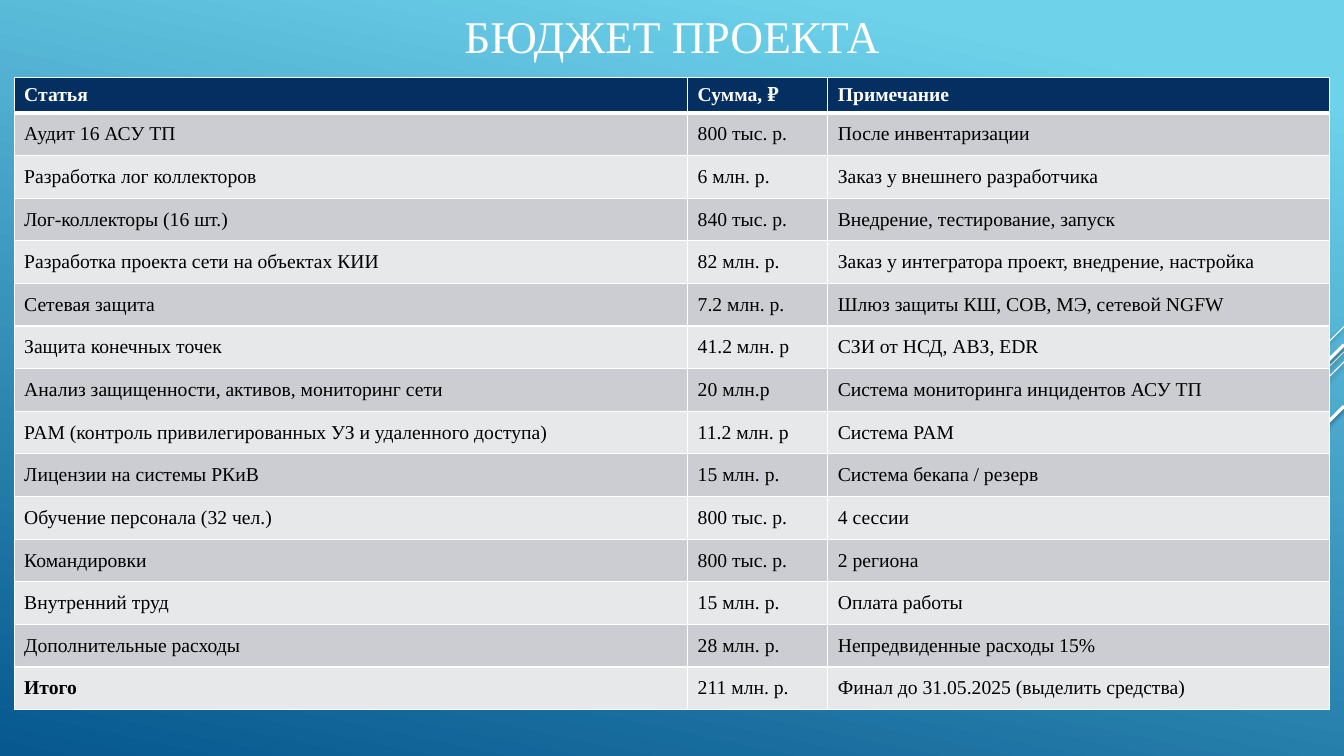
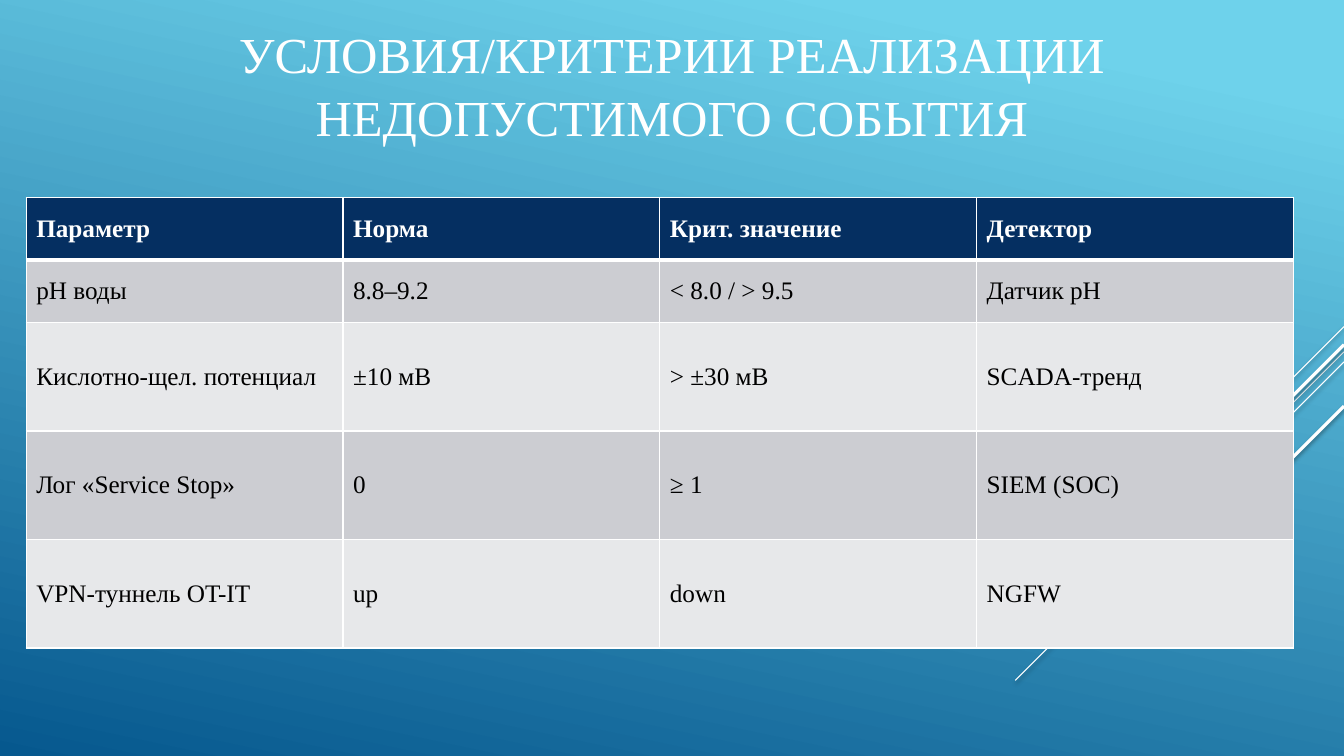
from dataclasses import dataclass

from lxml import etree
from pptx import Presentation
from pptx.dml.color import RGBColor
from pptx.enum.shapes import MSO_CONNECTOR
from pptx.enum.text import MSO_ANCHOR, PP_ALIGN
from pptx.oxml.ns import qn
from pptx.util import Inches, Pt

# Shared look
FONT = "Times New Roman"
WHITE, BLACK, NAVY = "FFFFFF", "000000", "052F61"
BANDS = ("CCCDD2", "E7E8EA")
SKY, DEEP = "6ED2EB", "06588E"
WIDTH, HEIGHT = 13.33, 7.5


@dataclass
class Stripe:
    """Diagonal line falling from the right edge at 45 degrees."""
    top: float
    run: float
    weight: float


@dataclass
class Grid:
    """Table frame; tracks not listed share the remaining length equally."""
    left: float
    top: float
    width: float
    height: float
    lead_cols: tuple[float, ...]
    lead_rows: tuple[float, ...]
    size: float
    rows: list[tuple[str, ...]]
    total_row: bool = False


STRIPES = [
    Stripe(3.24, 1.0, 0.75),
    Stripe(3.49, 3.26, 0.75),
    Stripe(3.59, 2.07, 0.75),
    Stripe(3.42, 1.91, 2.25),
    Stripe(4.03, 1.39, 2.25),
]

BUDGET = Grid(0.14, 0.77, 13.05, 6.27, (6.68, 1.39), (0.35,), 14, [
    ("Статья", "Сумма, ₽", "Примечание"),
    ("Аудит 16 АСУ ТП", "800 тыс. р.", "После инвентаризации"),
    ("Разработка лог коллекторов", "6 млн. р.", "Заказ у внешнего разработчика"),
    ("Лог-коллекторы (16 шт.)", "840 тыс. р.", "Внедрение, тестирование, запуск"),
    ("Разработка проекта сети на объектах КИИ", "82 млн. р.",
     "Заказ у интегратора проект, внедрение, настройка"),
    ("Сетевая защита", "7.2 млн. р.", "Шлюз защиты КШ, СОВ, МЭ, сетевой NGFW"),
    ("Защита конечных точек", "41.2 млн. р", "СЗИ от НСД, АВЗ, EDR"),
    ("Анализ защищенности, активов, мониторинг сети", "20 млн.р",
     "Система мониторинга инцидентов АСУ ТП"),
    ("PAM (контроль привилегированных УЗ и удаленного доступа)", "11.2 млн. р",
     "Система PAM"),
    ("Лицензии на системы РКиВ", "15 млн. р.", "Система бекапа / резерв"),
    ("Обучение персонала (32 чел.)", "800 тыс. р.", "4 сессии"),
    ("Командировки", "800 тыс. р.", "2 региона"),
    ("Внутренний труд", "15 млн. р.", "Оплата работы"),
    ("Дополнительные расходы", "28 млн. р.", "Непредвиденные расходы 15%"),
    ("Итого", "211 млн. р.", "Финал до 31.05.2025 (выделить средства)"),
], total_row=True)

CRITERIA = Grid(0.26, 1.96, 12.57, 4.47, (), (0.62, 0.62), 18, [
    ("Параметр", "Норма", "Крит. значение", "Детектор"),
    ("pH воды", "8.8–9.2", "< 8.0 / > 9.5", "Датчик pH"),
    ("Кислотно-щел. потенциал", "±10 мВ", "> ±30 мВ", "SCADA-тренд"),
    ("Лог «Service Stop»", "0", "≥ 1", "SIEM (SOC)"),
    ("VPN-туннель OT-IT", "up", "down", "NGFW"),
])


def rgb(color: str) -> RGBColor:
    return RGBColor.from_string(color)


def style_runs(p, size: float, color: str, bold: bool = False) -> None:
    for r in p.runs:
        r.font.name = FONT
        r.font.size = Pt(size)
        r.font.bold = bold
        r.font.color.rgb = rgb(color)


def tracks(total: float, count: int, lead: tuple[float, ...]) -> list[float]:
    rest = count - len(lead)
    return [*lead, *[(total - sum(lead)) / rest] * rest]


def add_shadow(connector) -> None:
    effects = etree.SubElement(connector.line._get_or_add_ln().getparent(), qn("a:effectLst"))
    shadow = etree.SubElement(effects, qn("a:outerShdw"), blurRad=str(Pt(3.1)),
                              dist=str(Pt(1.6)), dir="5400000", rotWithShape="0")
    color = etree.SubElement(shadow, qn("a:srgbClr"), val=BLACK)
    etree.SubElement(color, qn("a:alpha"), val="38000")


def add_stripe(s, stripe: Stripe) -> None:
    line = s.shapes.add_connector(
        MSO_CONNECTOR.STRAIGHT, Inches(WIDTH), Inches(stripe.top),
        Inches(WIDTH - stripe.run), Inches(stripe.top + stripe.run))
    line.line.color.rgb = rgb(WHITE)
    line.line.width = Pt(stripe.weight)
    add_shadow(line)


def add_title(s, text: str, height: float, size: float) -> None:
    sp = s.shapes.add_textbox(0, 0, Inches(WIDTH), Inches(height))
    tf = sp.text_frame
    tf.word_wrap = True
    tf.vertical_anchor = MSO_ANCHOR.MIDDLE
    tf.text = text
    p = tf.paragraphs[0]
    p.alignment = PP_ALIGN.CENTER
    p.line_spacing = 1.05
    style_runs(p, size, WHITE)


def add_borders(cell, top: float, bottom: float) -> None:
    tc_pr = cell._tc.get_or_add_tcPr()
    weights = {"a:lnL": 1, "a:lnR": 1, "a:lnT": top, "a:lnB": bottom}
    for i, (tag, weight) in enumerate(weights.items()):
        ln = etree.Element(qn(tag), w=str(Pt(weight)))
        fill = etree.SubElement(ln, qn("a:solidFill"))
        etree.SubElement(fill, qn("a:srgbClr"), val=WHITE)
        tc_pr.insert(i, ln)


def add_grid(s, grid: Grid) -> None:
    n_rows, n_cols = len(grid.rows), len(grid.rows[0])
    table = s.shapes.add_table(n_rows, n_cols, Inches(grid.left), Inches(grid.top),
                               Inches(grid.width), Inches(grid.height)).table
    for col, width in zip(table.columns, tracks(grid.width, n_cols, grid.lead_cols)):
        col.width = Inches(width)
    for row, height in zip(table.rows, tracks(grid.height, n_rows, grid.lead_rows)):
        row.height = Inches(height)

    for i, texts in enumerate(grid.rows):
        header = i == 0
        total = grid.total_row and i == n_rows - 1
        for j, text in enumerate(texts):
            cell = table.cell(i, j)
            cell.fill.solid()
            cell.fill.fore_color.rgb = rgb(NAVY if header else BANDS[(i - 1) % 2])
            add_borders(cell, top=3 if i == 1 else 1, bottom=3 if header else 1)
            cell.vertical_anchor = MSO_ANCHOR.MIDDLE
            cell.text_frame.text = text
            style_runs(cell.text_frame.paragraphs[0], grid.size,
                       WHITE if header else BLACK, header or (total and j == 0))


def add_slide(prs):
    s = prs.slides.add_slide(prs.slide_layouts[6])
    fill = s.background.fill
    fill.gradient()
    fill.gradient_angle = 258
    for stop, position, color in zip(fill.gradient_stops, (0.1, 1), (SKY, DEEP)):
        stop.position = position
        stop.color.rgb = rgb(color)
    for stripe in STRIPES:
        add_stripe(s, stripe)
    return s


def main() -> None:
    prs = Presentation()
    prs.slide_width, prs.slide_height = Inches(WIDTH), Inches(HEIGHT)

    # Budget
    s = add_slide(prs)
    add_title(s, "БЮДЖЕТ ПРОЕКТА", 0.68, 32.4)
    add_grid(s, BUDGET)

    # Event criteria
    s = add_slide(prs)
    add_title(s, "УСЛОВИЯ/КРИТЕРИИ РЕАЛИЗАЦИИ НЕДОПУСТИМОГО СОБЫТИЯ", 1.65, 36)
    add_grid(s, CRITERIA)

    prs.save("out.pptx")


if __name__ == "__main__":
    main()
